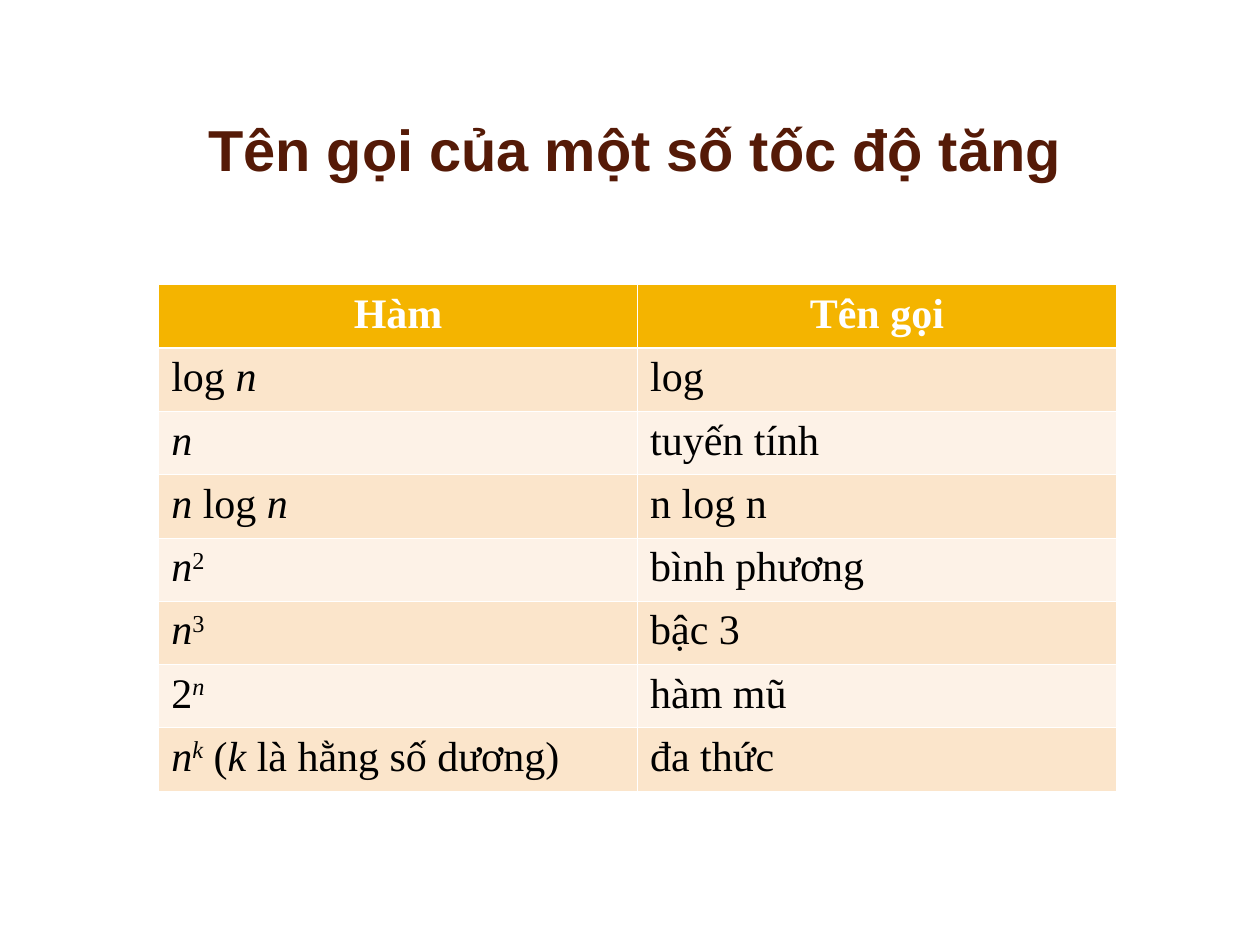
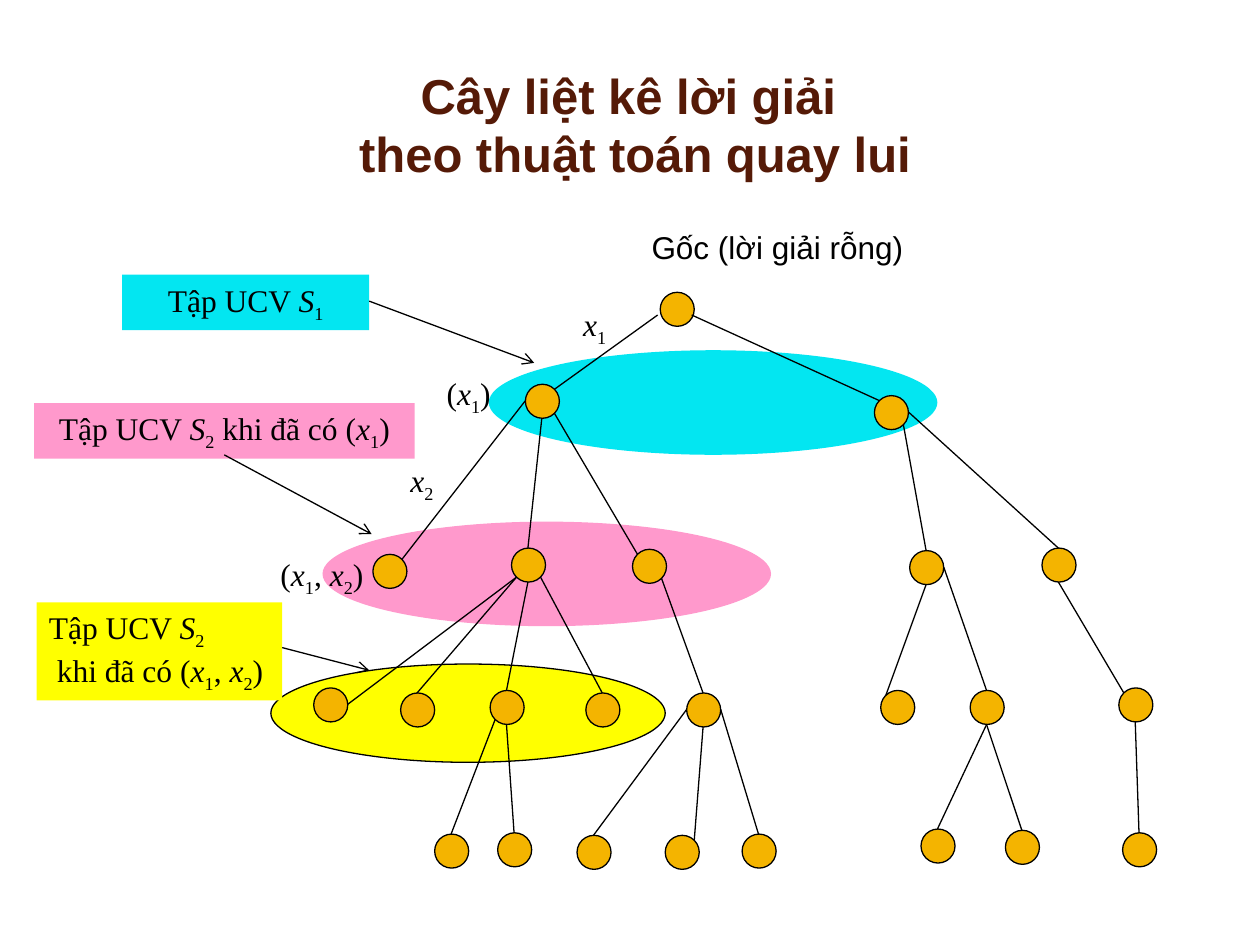
from itertools import groupby

from lxml.etree import SubElement
from pptx import Presentation
from pptx.dml.color import RGBColor
from pptx.enum.shapes import MSO_CONNECTOR, MSO_SHAPE
from pptx.enum.text import MSO_ANCHOR, PP_ALIGN
from pptx.oxml.ns import qn
from pptx.util import Pt

SCALE = 9144
BROWN = RGBColor(0x55, 0x1A, 0x07)
GOLD = RGBColor(0xF4, 0xB4, 0x00)
PEACH = RGBColor(0xFB, 0xE5, 0xCB)
CREAM = RGBColor(0xFD, 0xF2, 0xE7)
CYAN = RGBColor(0x03, 0xE6, 0xF1)
PINK = RGBColor(0xFF, 0x99, 0xCC)
YELLOW = RGBColor(0xFF, 0xFF, 0x00)
BLACK = RGBColor(0, 0, 0)
WHITE = RGBColor(0xFF, 0xFF, 0xFF)
SERIF = "Times New Roman"
SANS = "Arial"
LEFT, CENTER = PP_ALIGN.LEFT, PP_ALIGN.CENTER
SHIFT = {"^": 30, "_": -25}

DOT = 27
PORTS = {
    "n": (13, 0), "s": (13, 27), "w": (0, 13), "e": (27, 13),
    "nw": (4, 4), "ne": (23, 4), "sw": (4, 23), "se": (23, 23),
    "left": (-2, 18), "right": (25, 18),
}
NODES = {
    "root": (524, 232),
    "a1": (417, 305), "a2": (694, 314),
    "b1": (296, 440), "b2": (406, 435), "b3": (502, 436),
    "b4": (722, 437), "b5": (827, 435),
    "c1": (249, 546), "c2": (318, 550), "c3": (389, 548), "c4": (465, 550),
    "c5": (545, 550), "c6": (699, 548), "c7": (770, 548), "c8": (888, 546),
    "d1": (345, 662), "d2": (395, 661), "d3": (458, 663), "d4": (528, 663),
    "d5": (589, 662), "d6": (731, 658), "d7": (798, 659), "d8": (891, 661),
}
EDGES = [
    ("root", "left", "a1", "ne"), ("root", "right", "a2", "nw"),
    ("a1", "w", "b1", "ne"), ("a1", "s", "b2", "n"), ("a1", "se", "b3", "nw"),
    ("a2", "se", "b4", "n"), ("a2", "e", "b5", "n"),
    ("b2", "sw", "c1", "e"), ("b2", "sw", "c2", "n"),
    ("b2", "s", "c3", "n"), ("b2", "se", "c4", "n"), ("b3", "se", "c5", "n"),
    ("b4", "s", "c6", "nw"), ("b4", "e", "c7", "n"), ("b5", "s", "c8", "nw"),
    ("c3", "sw", "d1", "n"), ("c3", "s", "d2", "n"),
    ("c5", "w", "d3", "n"), ("c5", "s", "d4", "ne"), ("c5", "e", "d5", "n"),
    ("c7", "s", "d6", "n"), ("c7", "s", "d7", "n"), ("c8", "s", "d8", "n"),
]
SETS = [
    ((215, 527, 313, 78), YELLOW, BLACK),
    ((256, 414, 356, 83), PINK, None),
    ((388, 278, 356, 83), CYAN, None),
]
LABELS = [
    ((505, 176, 224, 40), "Gốc (lời giải rỗng)", SANS),
    ((444, 237, 56, 44), "*x*_1", SERIF),
    ((332, 292, 80, 44), "(*x*_1)", SERIF),
    ((307, 361, 56, 44), "*x*_2", SERIF),
    ((190, 436, 131, 44), "(*x*_1, *x*_2)", SERIF),
]
NOTES = [
    ((97, 218, 196, 44), "Tập UCV *S*_1", CYAN, CENTER),
    ((27, 320, 302, 44), "Tập UCV *S*_2 khi đã có (*x*_1)", PINK, CENTER),
    ((29, 478, 195, 78), "Tập UCV *S*_2\n khi đã có (*x*_1, *x*_2)", YELLOW, LEFT),
]
ARROWS = [
    ((178, 361), (295, 424)),
    ((293, 239), (424, 288)),
    ((224, 514), (293, 532)),
]
ROWS = [
    ("Hàm", "Tên gọi"),
    ("log *n*", "log"),
    ("*n*", "tuyến tính"),
    ("*n* log *n*", "n log n"),
    ("*n*^2", "bình phương"),
    ("*n*^3", "bậc 3"),
    ("2*^n*", "hàm mũ"),
    ("*n^k* (*k* là hằng số dương)", "đa thức"),
]


def px(*nums):
    return [num * SCALE for num in nums]


def chars(line):
    slant, base = False, 0
    for char in line:
        if char == "*":
            slant = not slant
        elif char in SHIFT:
            base = SHIFT[char]
        else:
            yield char, (slant, base)
            base = 0


def write(frame, text, size=18, font=SERIF, color=BLACK, bold=False,
          align=CENTER, anchor=MSO_ANCHOR.TOP):
    frame.word_wrap = True
    frame.vertical_anchor = anchor
    for num, line in enumerate(text.split("\n")):
        para = frame.add_paragraph() if num else frame.paragraphs[0]
        para.alignment = align
        for part, piece in enumerate(line.split("\v")):
            if part:
                para.add_line_break()
            for (slant, base), group in groupby(chars(piece), lambda pair: pair[1]):
                run = para.add_run()
                run.text = "".join(char for char, _ in group)
                face = run.font
                face.size, face.name = Pt(size), font
                face.bold, face.italic = bold, slant
                face.color.rgb = color
                if base:
                    face._element.set("baseline", str(base * 1000))


def edge(cell, side, width):
    line = SubElement(cell._tc.get_or_add_tcPr(), qn(f"a:ln{side}"),
                      w=str(Pt(width)))
    fill = SubElement(line, qn("a:solidFill"))
    SubElement(fill, qn("a:srgbClr"), val=str(WHITE))


class Deck:
    def __init__(self):
        self.prs = Presentation()
        self.prs.slide_width, self.prs.slide_height = px(1000, 750)

    def page(self, title, size):
        self.shapes = self.prs.slides.add_slide(self.prs.slide_layouts[6]).shapes
        self.title, self.size = title, size

    def head(self):
        self.text((83, 42, 842, 108), self.title, size=self.size, font=SANS,
                  color=BROWN, bold=True, anchor=MSO_ANCHOR.BOTTOM)

    def text(self, box, text, **style):
        write(self.shapes.add_textbox(*px(*box)).text_frame, text, **style)

    def shape(self, kind, box, fill, line=None):
        shape = self.shapes.add_shape(kind, *px(*box))
        shape.shadow.inherit = False
        shape.fill.solid()
        shape.fill.fore_color.rgb = fill
        if line is None:
            shape.line.fill.background()
        else:
            shape.line.color.rgb = line
            shape.line.width = Pt(0.75)
        return shape

    def oval(self, box, fill, line=None):
        self.shape(MSO_SHAPE.OVAL, box, fill, line)

    def note(self, box, text, fill, align):
        shape = self.shape(MSO_SHAPE.RECTANGLE, box, fill)
        write(shape.text_frame, text, align=align)

    def line(self, start, end, arrow=False):
        line = self.shapes.add_connector(MSO_CONNECTOR.STRAIGHT, *px(*start, *end))
        line.line.color.rgb = BLACK
        line.line.width = Pt(0.75)
        if arrow:
            SubElement(line.line._get_or_add_ln(), qn("a:tailEnd"), type="arrow")
        SubElement(line._element.spPr, qn("a:effectLst"))

    def table(self, box, rows):
        table = self.shapes.add_table(len(rows), len(rows[0]), *px(*box)).table
        table.first_row = table.horz_banding = False
        for row, texts in enumerate(rows):
            for col, text in enumerate(texts):
                cell = table.cell(row, col)
                for side in "LRTB":
                    thick = (row, side) in ((0, "B"), (1, "T"))
                    edge(cell, side, 1.47 if thick else 0.45)
                cell.fill.solid()
                cell.fill.fore_color.rgb = (PEACH if row % 2 else CREAM) if row else GOLD
                write(cell.text_frame, text, size=24, bold=not row,
                      color=BLACK if row else WHITE,
                      align=LEFT if row else CENTER)


def port(node, side):
    return [a + b for a, b in zip(NODES[node], PORTS[side])]


def main():
    deck = Deck()
    deck.page("Tên gọi của một số tốc độ tăng", 33)
    deck.head()
    deck.table((126, 226, 760, 402), ROWS)

    deck.page("Cây liệt kê lời giải \vtheo thuật toán quay lui", 28)
    for item in SETS:
        deck.oval(*item)
    deck.head()
    for spot in NODES.values():
        deck.oval((*spot, DOT, DOT), GOLD, BLACK)
    for top, out, low, into in EDGES:
        deck.line(port(top, out), port(low, into))
    for box, text, font in LABELS:
        deck.text(box, text, font=font)
    for item in NOTES:
        deck.note(*item)
    for start, end in ARROWS:
        deck.line(start, end, arrow=True)
    deck.prs.save("out.pptx")


if __name__ == "__main__":
    main()
